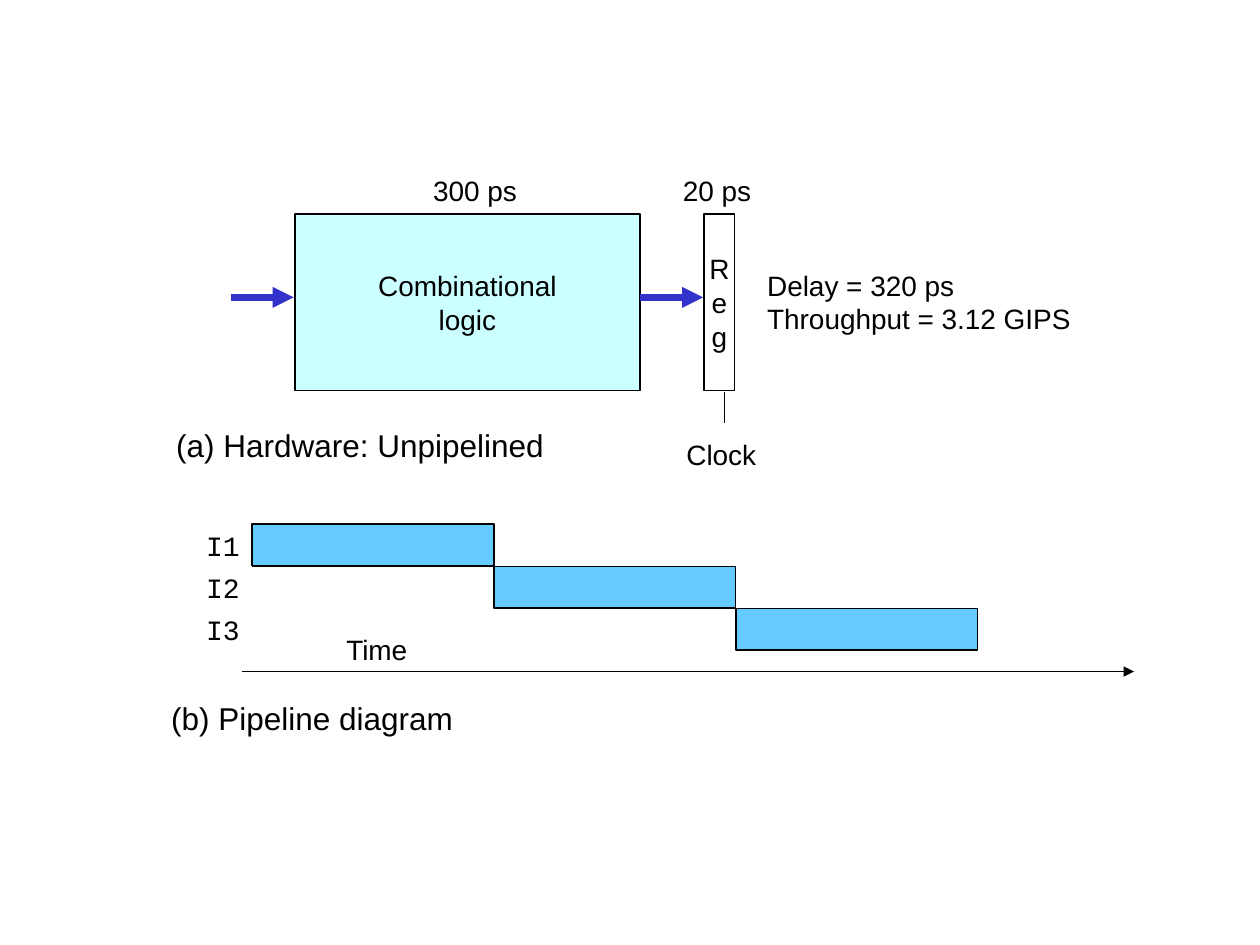
from lxml import etree
from pptx import Presentation
from pptx.dml.color import RGBColor
from pptx.enum.shapes import MSO_CONNECTOR, MSO_SHAPE
from pptx.enum.text import MSO_ANCHOR, MSO_AUTO_SIZE, PP_ALIGN
from pptx.oxml.ns import qn
from pptx.util import Inches, Pt

RECT, LINE = MSO_SHAPE.RECTANGLE, MSO_CONNECTOR.STRAIGHT
LEFT, MID, RIGHT = PP_ALIGN.LEFT, PP_ALIGN.CENTER, PP_ALIGN.RIGHT
CENTRE, TOP = MSO_ANCHOR.MIDDLE, MSO_ANCHOR.TOP
FIXED = MSO_AUTO_SIZE.NONE

THEME = {
    "ink": "000000", "paper": "FFFFFF", "logic": "CCFFFF",
    "bar": "66CCFF", "flow": "3333CC",
    "sans": "Arial", "mono": "Courier New", "body": 16, "caption": 18,
}

# Text, place (left, top, width, height), fill
BLOCKS = [
    (["Combinational", "logic"], (2.34, 1.7, 2.74, 1.4), "logic"),
    (["R", "e", "g"], (5.59, 1.7, 0.24, 1.4), "paper"),
]
# Text, place, alignment, type size
NOTES = [
    (["300 ps"], (3.34, 1.33, 0.86, 0.36), MID, "body"),
    (["20 ps"], (5.32, 1.33, 0.74, 0.36), MID, "body"),
    (["Clock"], (5.35, 3.42, 0.75, 0.36), MID, "body"),
    (["Delay = 320 ps", "Throughput = 3.12 GIPS"],
     (5.99, 2.08, 2.61, 0.63), LEFT, "body"),
    (["Time"], (2.65, 4.97, 0.69, 0.36), LEFT, "body"),
    (["(a) Hardware: Unpipelined"], (1.3, 3.33, 3.11, 0.4), LEFT, "caption"),
    (["(b) Pipeline diagram"], (1.26, 5.5, 2.43, 0.4), LEFT, "caption"),
]
# Start, end, colour, width, arrowhead
LINES = [
    ((1.83, 2.36), (2.33, 2.36), "flow", 4, True),
    ((5.08, 2.36), (5.58, 2.36), "flow", 4, True),
    ((5.75, 3.11), (5.75, 3.36), "ink", 1, False),
    ((1.92, 5.33), (9, 5.33), "ink", 1, True),
]
STEPS = ["I1", "I2", "I3"]
STEP_X, STEP_Y, STEP_W, STEP_H = 2, 4.16, 1.92, 1 / 3
LABEL_W = 0.92


def tint(name):
    return RGBColor.from_string(THEME[name])


def write(shape, rows, align=MID, size="body", font="sans", **frame):
    text = shape.text_frame
    for key, value in frame.items():
        setattr(text, key, value)
    text.text = "\n".join(rows)
    look = {"name": THEME[font], "size": Pt(THEME[size])}
    for para in text.paragraphs:
        para.alignment = align
        for run in para.runs:
            for key, value in look.items():
                setattr(run.font, key, value)
            run.font.color.rgb = tint("ink")


def add_box(slide, place, fill, width=None):
    """Add a filled rectangle, outlined if a line width is given."""
    box = slide.shapes.add_shape(RECT, *map(Inches, place))
    box.shadow.inherit = False
    box.fill.solid()
    box.fill.fore_color.rgb = tint(fill)
    if width:
        box.line.color.rgb = tint("ink")
        box.line.width = Pt(width)
    else:
        box.line.fill.background()
    return box


def add_line(slide, start, end, colour, width, arrow):
    line = slide.shapes.add_connector(LINE, *map(Inches, start + end))
    line.line.color.rgb = tint(colour)
    line.line.width = Pt(width)
    if arrow:
        outline = line._element.spPr.find(qn("a:ln"))
        etree.SubElement(outline, qn("a:tailEnd"), type="triangle")
    etree.SubElement(line._element.spPr, qn("a:effectLst"))


def add_steps(slide):
    """Draw one row per instruction, each bar starting where the last ends."""
    for i, name in enumerate(STEPS):
        top = STEP_Y + i * STEP_H
        label = add_box(slide, (STEP_X - LABEL_W, top, LABEL_W, STEP_H),
                        "paper")
        write(label, [name], RIGHT, font="mono", word_wrap=True,
              vertical_anchor=CENTRE)
        add_box(slide, (STEP_X + i * STEP_W, top, STEP_W, STEP_H), "bar", 0.75)


def main():
    deck = Presentation()
    deck.slide_width, deck.slide_height = Inches(10), Inches(7.5)
    slide = deck.slides.add_slide(deck.slide_layouts.get_by_name("Blank"))
    for rows, place, fill in BLOCKS:
        write(add_box(slide, place, fill, 1), rows, word_wrap=False,
              auto_size=FIXED, vertical_anchor=CENTRE)
    add_steps(slide)
    for item in LINES:
        add_line(slide, *item)
    for rows, place, align, size in NOTES:
        note = slide.shapes.add_textbox(*map(Inches, place))
        write(note, rows, align, size, word_wrap=False, auto_size=FIXED,
              vertical_anchor=TOP)
    deck.save("out.pptx")


if __name__ == "__main__":
    main()
